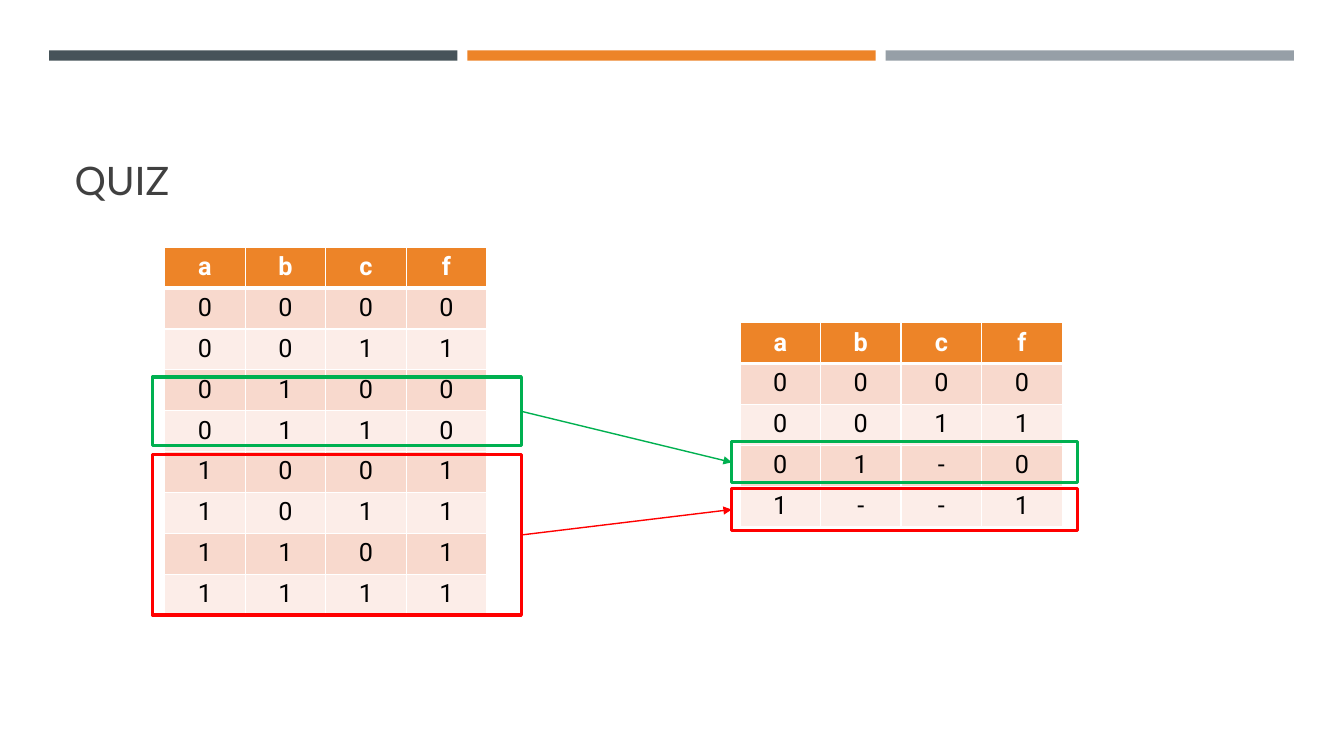
from lxml.etree import SubElement
from pptx import Presentation
from pptx.dml.color import RGBColor
from pptx.enum.shapes import MSO_CONNECTOR as Connector, MSO_SHAPE as Shape
from pptx.enum.text import MSO_ANCHOR as Anchor, PP_ALIGN as Align
from pptx.oxml.ns import qn
from pptx.util import Cm, Pt

COLORS = {
    "slate": "465359", "orange": "ED8428", "gray": "969FA7", "title": "404040",
    "band_dark": "F8D9CD", "band_light": "FCEDE8", "white": "FFFFFF",
    "black": "000000", "green": "00B050", "red": "FF0000",
}
TRUTH_TABLE = ["abcf", "0000", "0011", "0100", "0110", "1001", "1011", "1101", "1111"]
REDUCED_TABLE = ["abcf", "0000", "0011", "01-0", "1--1"]
COLUMN_WIDTH, ROW_HEIGHT = 2.03, 1.03


def color(name):
    return RGBColor.from_string(COLORS[name])


def set_font(paragraph, name, size, color_name, bold=False):
    font = paragraph.font
    font.name, font.size, font.bold = name, Pt(size), bold
    font.color.rgb = color(color_name)


def add_header_bars(slide, left, top, width, height, gap=0.25):
    bar_width = (width - 2 * gap) / 3
    for index, name in enumerate(["slate", "orange", "gray"]):
        bar_left = left + index * (bar_width + gap)
        bar = slide.shapes.add_shape(
            Shape.RECTANGLE, Cm(bar_left), Cm(top), Cm(bar_width), Cm(height))
        bar.shadow.inherit = False
        bar.fill.solid()
        bar.fill.fore_color.rgb = color(name)
        bar.line.fill.background()


def add_title(slide, left, top, width, height, text):
    frame = slide.shapes.add_textbox(Cm(left), Cm(top), Cm(width), Cm(height)).text_frame
    frame.word_wrap = True
    frame.vertical_anchor = Anchor.BOTTOM
    paragraph = frame.paragraphs[0]
    paragraph.text = text
    set_font(paragraph, "Lato", 28, "title")


def set_borders(cell, top, bottom):
    properties = cell._tc.get_or_add_tcPr()
    for side, points in [("L", 1), ("R", 1), ("T", top), ("B", bottom)]:
        line = SubElement(properties, qn(f"a:ln{side}"), w=str(Pt(points)))
        fill = SubElement(line, qn("a:solidFill"))
        SubElement(fill, qn("a:srgbClr"), val=COLORS["white"])


def add_logic_table(slide, left, top, rows):
    columns = len(rows[0])
    table = slide.shapes.add_table(
        len(rows), columns, Cm(left), Cm(top),
        Cm(columns * COLUMN_WIDTH), Cm(len(rows) * ROW_HEIGHT)).table
    for column in table.columns:
        column.width = Cm(COLUMN_WIDTH)
    for row_index, values in enumerate(rows):
        table.rows[row_index].height = Cm(ROW_HEIGHT)
        header = row_index == 0
        band = "orange" if header else "band_dark" if row_index % 2 else "band_light"
        for column_index, value in enumerate(values):
            cell = table.cell(row_index, column_index)
            set_borders(cell, 3 if row_index == 1 else 1, 3 if header else 1)
            cell.fill.solid()
            cell.fill.fore_color.rgb = color(band)
            paragraph = cell.text_frame.paragraphs[0]
            paragraph.text = value
            paragraph.alignment = Align.CENTER
            set_font(paragraph, "Roboto", 18, "white" if header else "black", header)


def add_frame(group, left, top, width, height, color_name):
    frame = group.shapes.add_shape(
        Shape.RECTANGLE, Cm(left), Cm(top), Cm(width), Cm(height))
    frame.shadow.inherit = False
    frame.fill.background()
    frame.line.color.rgb = color(color_name)
    frame.line.width = Pt(2.25)
    return frame


def add_reduction(slide, source_box, target_box, color_name):
    group = slide.shapes.add_group_shape()
    target = add_frame(group, *target_box, color_name)
    source = add_frame(group, *source_box, color_name)
    arrow = group.shapes.add_connector(
        Connector.STRAIGHT,
        source.left + source.width, source.top + source.height // 2,
        target.left, target.top + target.height // 2)
    arrow.begin_connect(source, 3)
    arrow.end_connect(target, 1)
    arrow.line.color.rgb = color(color_name)
    arrow.line.width = Pt(1)
    SubElement(arrow.line._get_or_add_ln(), qn("a:tailEnd"), type="triangle")
    SubElement(arrow._element.spPr, qn("a:effectLst"))


def build_quiz_slide(presentation):
    slide = presentation.slides.add_slide(presentation.slide_layouts[6])
    add_header_bars(slide, 1.24, 1.27, 31.37, 0.26)
    add_title(slide, 1.63, 1.96, 30.63, 3.3, "QUIZ")
    add_logic_table(slide, 4.15, 6.23, TRUTH_TABLE)
    add_logic_table(slide, 18.65, 8.13, REDUCED_TABLE)
    add_reduction(slide, (3.84, 9.5, 9.3, 1.73), (18.44, 11.13, 8.71, 1.04), "green")
    add_reduction(slide, (3.84, 11.46, 9.3, 4.04), (18.44, 12.32, 8.71, 1.04), "red")


def main():
    presentation = Presentation()
    presentation.slide_width, presentation.slide_height = Cm(33.87), Cm(19.05)
    build_quiz_slide(presentation)
    presentation.save("out.pptx")


if __name__ == "__main__":
    main()
